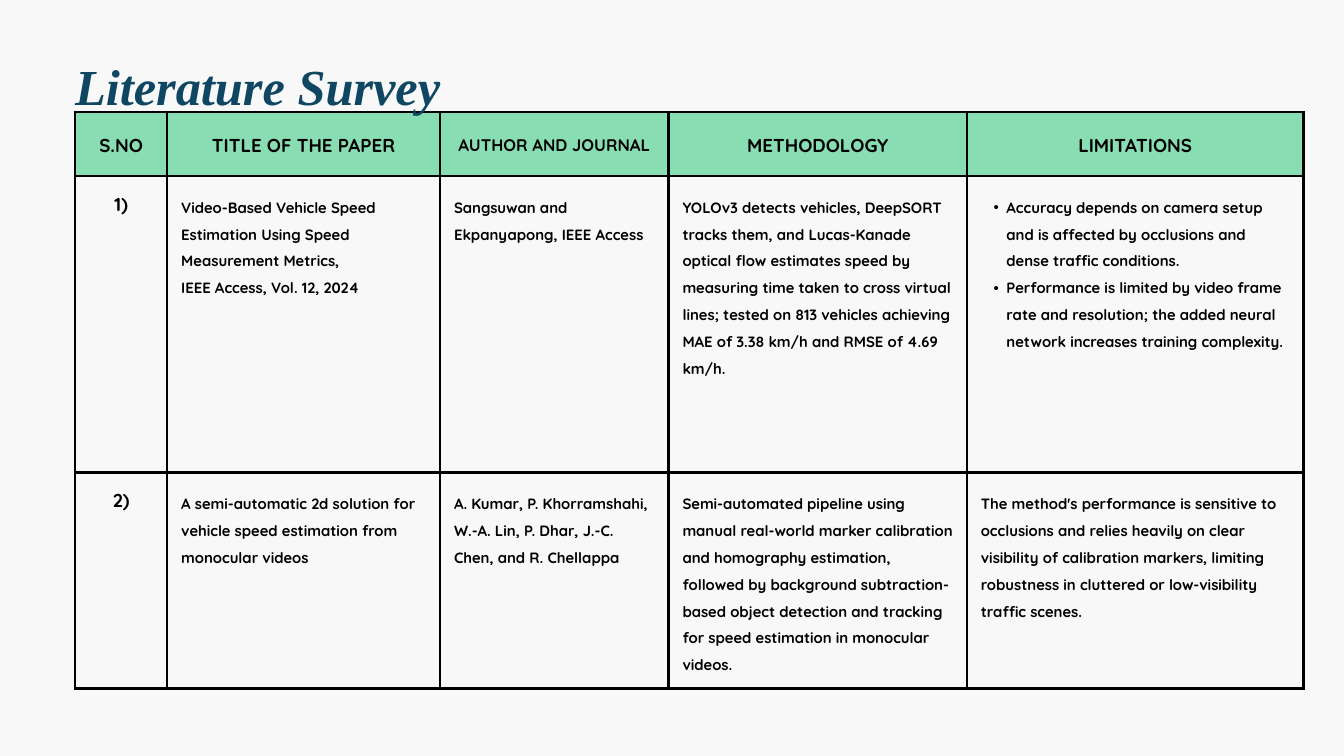
from lxml import etree
from pptx import Presentation
from pptx.dml.color import RGBColor
from pptx.enum.text import MSO_ANCHOR, PP_ALIGN
from pptx.oxml.ns import qn
from pptx.util import Pt

LEFT, CENTER = PP_ALIGN.LEFT, PP_ALIGN.CENTER
TOP, MIDDLE = MSO_ANCHOR.TOP, MSO_ANCHOR.MIDDLE

# Content
TITLE = "Literature Survey"
HEADERS = ["S.NO", "TITLE OF THE PAPER", "AUTHOR AND JOURNAL", "METHODOLOGY", "LIMITATIONS"]
PAPERS = [
    {
        "number": ["1)"],
        "title": [
            "Video-Based Vehicle Speed Estimation Using Speed Measurement Metrics,",
            "IEEE Access, Vol. 12, 2024",
        ],
        "author": ["Sangsuwan and Ekpanyapong, IEEE Access"],
        "methodology": [
            "YOLOv3 detects vehicles, DeepSORT tracks them, and Lucas-Kanade optical flow "
            "estimates speed by measuring time taken to cross virtual lines; tested on 813 "
            "vehicles achieving MAE of 3.38 km/h and RMSE of 4.69 km/h.",
        ],
        "limitations": [
            "Accuracy depends on camera setup and is affected by occlusions and dense "
            "traffic conditions.",
            "Performance is limited by video frame rate and resolution; the added neural "
            "network increases training complexity.",
        ],
    },
    {
        "number": ["2)"],
        "title": [
            "A semi-automatic 2d solution for vehicle speed estimation from monocular videos",
        ],
        "author": ["A. Kumar, P. Khorramshahi, W.-A. Lin, P. Dhar, J.-C. Chen, and R. Chellappa"],
        "methodology": [
            "Semi-automated pipeline using manual real-world marker calibration and homography "
            "estimation, followed by background subtraction-based object detection and tracking "
            "for speed estimation in monocular videos.",
        ],
        "limitations": [
            "The method's performance is sensitive to occlusions and relies heavily on clear "
            "visibility of calibration markers, limiting robustness in cluttered or "
            "low-visibility traffic scenes.",
        ],
    },
]

# Theme: colours and text formats
THEME = {
    "background": "F8F8F8",
    "header_fill": "89DDB3",
    "border": "000000",
    "title": {"name": "Times New Roman", "size": 54, "color": "0F4662", "italic": True, "leading": 75.6},
    "header": {"name": "Quicksand", "size": 20, "color": "000000", "leading": 28},
    "small_header": {"name": "Quicksand", "size": 18, "color": "000000", "leading": 25.2},
    "body": {"name": "Quicksand", "size": 16, "color": "000000", "leading": 28.8},
}

# Layout, in points
SLIDE_SIZE = (1440, 810)
MARGIN_LEFT = 80.6
TITLE_TOP, TITLE_WIDTH, TITLE_HEIGHT = 48.2, 1108, 72.7
TABLE_TOP = 120.2
COLUMN_WIDTHS = [98.6, 292.3, 244.8, 319.7, 360.7]
ROW_HEIGHTS = [68.4, 317.5, 231.8]
CELL_INSET = 15
BORDER_WIDTH = 3
BULLET_INDENT = 13.7


def add_bullet(paragraph):
    properties = paragraph._p.get_or_add_pPr()
    properties.set("marL", str(Pt(2 * BULLET_INDENT)))
    properties.set("indent", str(-Pt(BULLET_INDENT)))
    etree.SubElement(properties, qn("a:buFont"), typeface="Arial")
    etree.SubElement(properties, qn("a:buChar"), char="•")


def write(frame, lines, style, align=LEFT, bulleted=False):
    for index, line in enumerate(lines):
        paragraph = frame.paragraphs[0] if index == 0 else frame.add_paragraph()
        if bulleted:
            add_bullet(paragraph)
        paragraph.alignment = align
        paragraph.line_spacing = Pt(style["leading"])
        run = paragraph.add_run()
        run.text = line
        font_values = {
            "name": style["name"],
            "size": Pt(style["size"]),
            "bold": True,
            "italic": style.get("italic", False),
        }
        for attribute, value in font_values.items():
            setattr(run.font, attribute, value)
        run.font.color.rgb = RGBColor.from_string(style["color"])


def add_borders(cell):
    properties = cell._tc.get_or_add_tcPr()
    for side in ("lnL", "lnR", "lnT", "lnB"):
        line = etree.SubElement(properties, qn(f"a:{side}"), w=str(Pt(BORDER_WIDTH)))
        fill = etree.SubElement(line, qn("a:solidFill"))
        etree.SubElement(fill, qn("a:srgbClr"), val=THEME["border"])


def format_cell(cell, anchor, fill_color=None):
    add_borders(cell)
    cell_values = {"vertical_anchor": anchor}
    for side in ("left", "right", "top", "bottom"):
        cell_values[f"margin_{side}"] = Pt(CELL_INSET)
    for attribute, value in cell_values.items():
        setattr(cell, attribute, value)
    if fill_color:
        cell.fill.solid()
        cell.fill.fore_color.rgb = RGBColor.from_string(fill_color)
    else:
        cell.fill.background()


def add_survey_table(slide):
    survey = slide.shapes.add_table(
        len(ROW_HEIGHTS), len(COLUMN_WIDTHS), Pt(MARGIN_LEFT), Pt(TABLE_TOP),
        Pt(sum(COLUMN_WIDTHS)), Pt(sum(ROW_HEIGHTS)),
    ).table
    survey.first_row = survey.horz_banding = False
    for column, width in zip(survey.columns, COLUMN_WIDTHS):
        column.width = Pt(width)
    for row, height in zip(survey.rows, ROW_HEIGHTS):
        row.height = Pt(height)

    # Header row
    for column, header in enumerate(HEADERS):
        cell = survey.cell(0, column)
        format_cell(cell, MIDDLE, THEME["header_fill"])
        style = THEME["small_header" if header == "AUTHOR AND JOURNAL" else "header"]
        write(cell.text_frame, [header], style, CENTER)

    # One row per paper
    for row, paper in enumerate(PAPERS, start=1):
        for column, (field, lines) in enumerate(paper.items()):
            cell = survey.cell(row, column)
            format_cell(cell, TOP)
            if field == "number":
                write(cell.text_frame, lines, THEME["header"], CENTER)
            else:
                bulleted = field == "limitations" and len(lines) > 1
                write(cell.text_frame, lines, THEME["body"], bulleted=bulleted)


def add_title(slide):
    frame = slide.shapes.add_textbox(
        Pt(MARGIN_LEFT), Pt(TITLE_TOP), Pt(TITLE_WIDTH), Pt(TITLE_HEIGHT)
    ).text_frame
    frame.word_wrap = True
    for side in ("left", "right", "top", "bottom"):
        setattr(frame, f"margin_{side}", 0)
    write(frame, [TITLE], THEME["title"])


def main():
    deck = Presentation()
    deck.slide_width, deck.slide_height = map(Pt, SLIDE_SIZE)
    slide = deck.slides.add_slide(deck.slide_layouts[6])
    slide.background.fill.solid()
    slide.background.fill.fore_color.rgb = RGBColor.from_string(THEME["background"])
    add_survey_table(slide)
    add_title(slide)
    deck.save("out.pptx")


if __name__ == "__main__":
    main()
